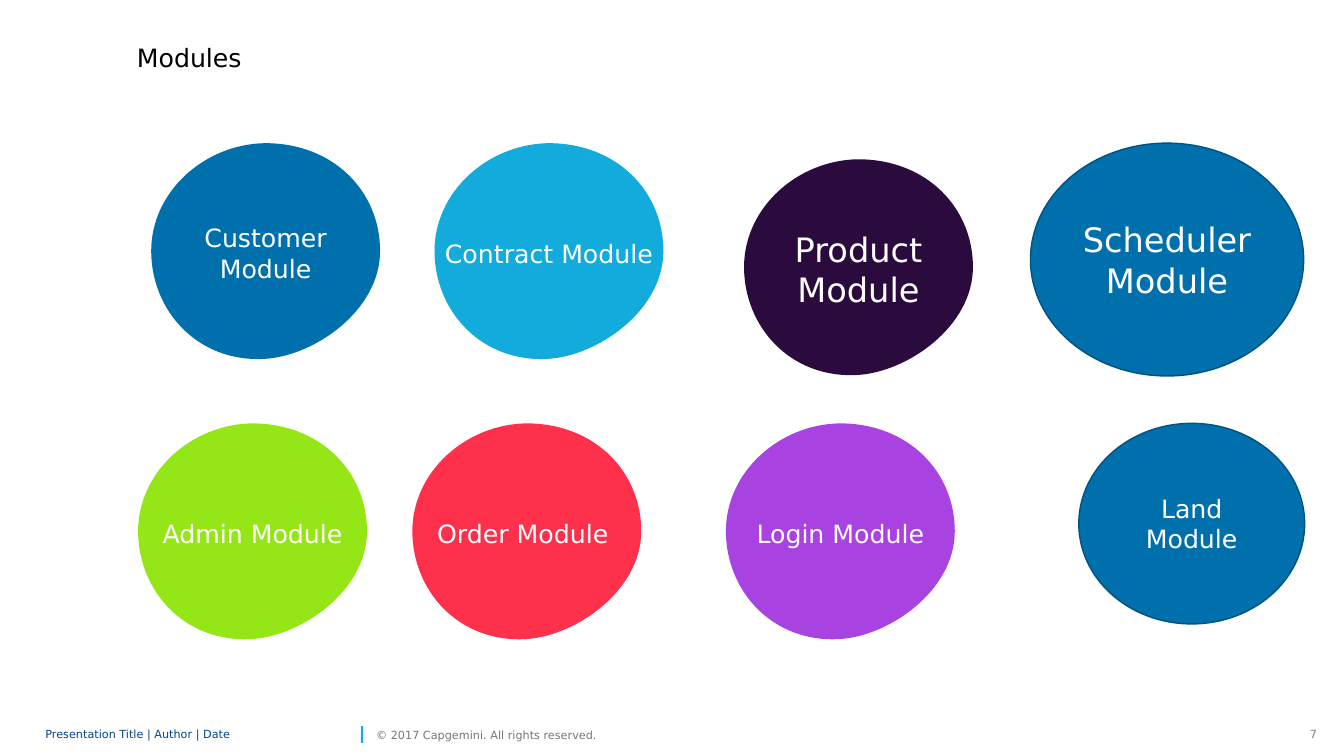
"""Build the Modules slide with eight coloured module bubbles."""
import pptx
import pptx.dml.color
import pptx.enum.shapes
import pptx.enum.text
import pptx.oxml
import pptx.oxml.ns
import pptx.util

Inches = pptx.util.Inches
Pt = pptx.util.Pt
ALIGN = pptx.enum.text.PP_ALIGN
ANCHOR = pptx.enum.text.MSO_ANCHOR
qn = pptx.oxml.ns.qn

COLORS = {
    "black": "000000", "white": "FFFFFF", "blue": "0070AD", "edge": "005380",
    "cyan": "12ABDB", "plum": "2B0A3D", "green": "95E616", "red": "FF304C",
    "violet": "A842E0", "navy": "00458D", "gray": "767676", "number": "808080",
}
BLOB_START = (0, 1.07)
BLOB_CURVES = [
    [(0, 0.48), (0.53, 0.01), (1.13, 0)],
    [(1.81, 0), (2.27, 0.48), (2.27, 1.07)],
    [(2.27, 1.66), (1.62, 2.11), (1.13, 2.14)],
    [(0.46, 2.18), (0, 1.66), (0, 1.07)],
]


def rgb(name):
    return pptx.dml.color.RGBColor.from_string(COLORS[name])


def write(shape, text, size, color, align, anchor, margins, wrap):
    frame = shape.text_frame
    frame.word_wrap = wrap
    frame.vertical_anchor = anchor
    frame.margin_left = frame.margin_right = Inches(margins[0])
    frame.margin_top = frame.margin_bottom = Inches(margins[1])
    paragraph = frame.paragraphs[0]
    paragraph.text = text
    paragraph.alignment = align
    paragraph.font.name = "DejaVu Sans"
    paragraph.font.size = Pt(size)
    paragraph.font.color.rgb = rgb(color)
    return paragraph


presentation = pptx.Presentation()
presentation.slide_width = Inches(13.33)
presentation.slide_height = Inches(7.5)
slide = presentation.slides.add_slide(presentation.slide_layouts[6])
shapes = slide.shapes

labels = [
    ("Modules", 1.26, 0.37, 6.27, 0.4, 18, "black", ALIGN.LEFT, ANCHOR.TOP, (0.1, 0.05), True),
    ("Presentation Title | Author | Date", 0.45, 7.17, 3.09, 0.24, 8, "navy",
     ALIGN.LEFT, ANCHOR.MIDDLE, (0, 0), True),
    ("© 2017 Capgemini. All rights reserved.", 3.73, 7.17, 2.43, 0.24, 8, "gray",
     ALIGN.LEFT, ANCHOR.MIDDLE, (0, 0), False),
    ("7", 12.89, 7.17, 0.27, 0.24, 8, "number", ALIGN.RIGHT, ANCHOR.TOP, (0.1, 0.05), False),
]
for text, left, top, width, height, *style in labels:
    box = shapes.add_textbox(Inches(left), Inches(top), Inches(width), Inches(height))
    paragraph = write(box, text, *style)
    if text.startswith("Presentation"):
        paragraph.line_spacing = 0.85

divider = shapes.add_connector(
    pptx.enum.shapes.MSO_CONNECTOR.STRAIGHT,
    Inches(3.59), Inches(7.37), Inches(3.59), Inches(7.2))
divider.line.color.rgb = rgb("cyan")
divider.line.width = Pt(1)
pptx.oxml.ns
divider_properties = divider._element.spPr
divider_properties.append(divider_properties.makeelement(qn("a:effectLst"), {}))

blobs = [
    ("Customer Module", 1.5, 1.42, "blue", 18),
    ("Contract Module", 4.31, 1.42, "cyan", 18),
    ("Product Module", 7.38, 1.58, "plum", 24),
    ("Admin Module", 1.37, 4.2, "green", 18),
    ("Order Module ", 4.09, 4.2, "red", 18),
    ("Login Module", 7.2, 4.2, "violet", 18),
]
for text, left, top, color, size in blobs:
    builder = shapes.build_freeform(Inches(BLOB_START[0]), Inches(BLOB_START[1]))
    builder.add_line_segments(
        [(Inches(x), Inches(y)) for curve in BLOB_CURVES for x, y in curve], close=True)
    blob = builder.convert_to_shape(Inches(left), Inches(top))
    outline = blob._element.find(".//" + qn("a:path"))
    segments = outline.findall(qn("a:lnTo"))
    for first in range(0, len(segments), 3):
        bezier = outline.makeelement(qn("a:cubicBezTo"), {})
        segments[first].addprevious(bezier)
        for segment in segments[first:first + 3]:
            bezier.append(segment[0])
            outline.remove(segment)
    blob.shadow.inherit = False
    blob.fill.solid()
    blob.fill.fore_color.rgb = rgb(color)
    blob.line.fill.background()
    write(blob, text, size, "white", ALIGN.CENTER, ANCHOR.MIDDLE, (0.05, 0.05), True)

ellipses = [
    ("Scheduler Module", 10.22, 1.42, 2.71, 2.31, 24),
    ("Land Module", 10.7, 4.2, 2.24, 1.99, 18),
]
for text, left, top, width, height, size in ellipses:
    ellipse = shapes.add_shape(
        pptx.enum.shapes.MSO_SHAPE.OVAL,
        Inches(left), Inches(top), Inches(width), Inches(height))
    ellipse.shadow.inherit = False
    ellipse.fill.solid()
    ellipse.fill.fore_color.rgb = rgb("blue")
    ellipse.line.color.rgb = rgb("edge")
    ellipse.line.width = Pt(1)
    write(ellipse, text, size, "white", ALIGN.CENTER, ANCHOR.MIDDLE, (0.1, 0.05), True)

presentation.save("out.pptx")
